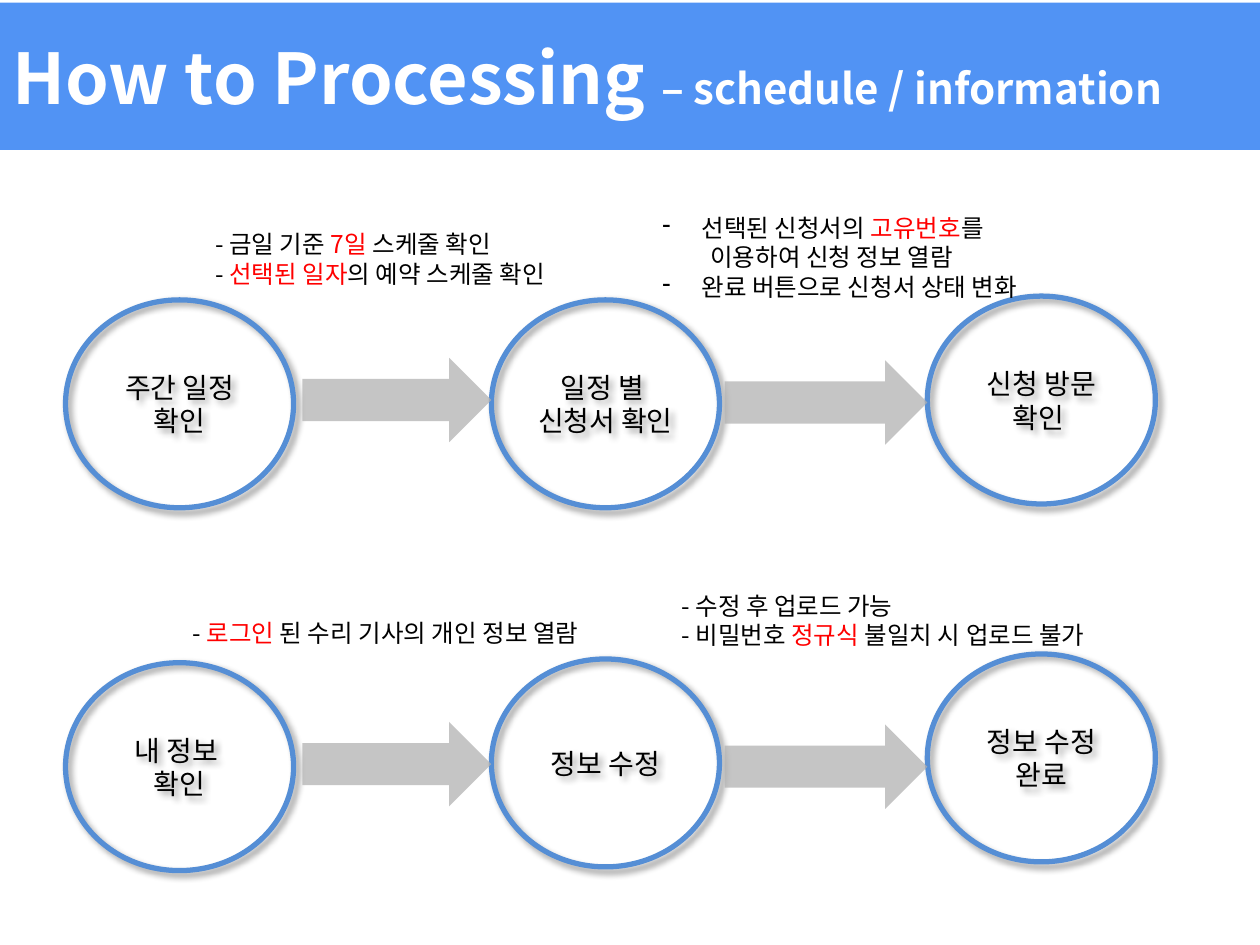
from lxml import etree
from pptx import Presentation, util as u
from pptx.dml.color import RGBColor
from pptx.enum import shapes as kinds, text as t
from pptx.oxml import parse_xml
from pptx.oxml.ns import nsdecls, qn

FONT = "Noto Sans CJK KR"


def color(target, hex_code):
    """Give a font, fill or line format a solid colour."""
    if hasattr(target, "solid"):
        target.solid()
        target.fore_color.rgb = RGBColor.from_string(hex_code)
    else:
        target.color.rgb = RGBColor.from_string(hex_code)


def write(frame, lines, size=14, align=t.PP_ALIGN.LEFT, anchor=t.MSO_ANCHOR.TOP):
    """Write lines as paragraphs; *words* between asterisks turn red.

    A line is a string or (string, left margin, bullet character).
    """
    frame.word_wrap = True
    frame.vertical_anchor = anchor
    for i, line in enumerate(lines):
        content, margin, bullet = (line, 0, None) if isinstance(line, str) else line
        p = frame.paragraphs[0] if i == 0 else frame.add_paragraph()
        p.alignment = align
        if margin:
            props = p._p.get_or_add_pPr()
            props.set("marL", str(u.Inches(margin)))
            props.set("indent", str(-u.Inches(margin) if bullet else 0))
            if bullet:
                etree.SubElement(props, qn("a:buChar")).set("char", bullet)
        for j, part in enumerate(content.split("*")):
            if part:
                run = p.add_run()
                run.text = part
                run.font.size = u.Pt(size)
                run.font.name = FONT
                color(run.font, "FF0000" if j % 2 else "000000")
                etree.SubElement(run._r.rPr, qn("a:ea")).set("typeface", FONT)


prs = Presentation()
prs.slide_width, prs.slide_height = u.Inches(10), u.Inches(7.5)
slide = prs.slides.add_slide(prs.slide_layouts[5])

# Title band
title = slide.shapes.title
title.left, title.top = 0, u.Inches(0.02)
title.width, title.height = prs.slide_width, u.Inches(1.17)
color(title.fill, "5193F4")
title.text_frame.vertical_anchor = t.MSO_ANCHOR.MIDDLE
heading = title.text_frame.paragraphs[0]
heading.alignment = t.PP_ALIGN.LEFT
for words, size in [("How to Processing ", 40), ("– schedule / information", 24)]:
    run = heading.add_run()
    run.text = words
    run.font.size, run.font.bold, run.font.name = u.Pt(size), True, FONT
    color(run.font, "FFFFFF")
    etree.SubElement(run._r.rPr, qn("a:ea")).set("typeface", FONT)

# Steps: three columns, two rows; each step has its label and top
columns = [0.52, 3.9, 7.36]
step_width, step_height = 1.81, 1.65
rows = [
    [(["주간 일정 확인"], 2.38), (["일정 별 ", "신청서 확인"], 2.38),
     (["신청 방문 확인 "], 2.35)],
    [(["내 정보 ", "확인"], 5.26), (["정보 수정"], 5.23), (["정보 수정 완료"], 5.19)],
]
for row in rows:
    for left, (label, top) in zip(columns, row):
        step = slide.shapes.add_shape(
            kinds.MSO_SHAPE.OVAL, u.Inches(left), u.Inches(top),
            u.Inches(step_width), u.Inches(step_height))
        step.fill.background()
        color(step.line.fill, "558ED5")
        step.line.width = u.Pt(3)
        step._element.spPr.append(parse_xml(
            f'<a:effectLst {nsdecls("a")}><a:outerShdw blurRad="{u.Pt(4)}" '
            f'dist="{u.Pt(3)}" dir="2700000" algn="tl" rotWithShape="0">'
            '<a:srgbClr val="000000"><a:alpha val="40000"/></a:srgbClr>'
            '</a:outerShdw></a:effectLst>'))
        write(step.text_frame, label, size=16, align=t.PP_ALIGN.CENTER,
              anchor=t.MSO_ANCHOR.MIDDLE)

# Notes above the arrows
notes = [
    (1.61, 1.77, 2.99, 0.57,
     ["- 금일 기준 *7일 *스케줄 확인", "- *선택된 일자*의 예약 스케줄 확인"]),
    (5.16, 1.64, 3.23, 0.81,
     [("선택된 신청서의 *고유번호*를", 0.31, "-"),
      ("이용하여 신청 정보 열람", 0.38, None),
      ("완료 버튼으로 신청서 상태 변화", 0.31, "-")]),
    (1.43, 4.86, 3.41, 0.34, ["- *로그인* 된 수리 기사의 개인 정보 열람"]),
    (5.31, 4.64, 3.41, 0.57,
     ["- 수정 후 업로드 가능", "- 비밀번호 *정규식* 불일치 시 업로드 불가"]),
]
for left, top, width, height, lines in notes:
    note = slide.shapes.add_textbox(*map(u.Inches, (left, top, width, height)))
    write(note.text_frame, lines)
    note.text_frame.auto_size = t.MSO_AUTO_SIZE.SHAPE_TO_FIT_TEXT

# Arrows, each ending at the next step
for row_top in (2.84, 5.73):
    for start, end, drop in [(2.4, columns[1], 0), (5.75, columns[2], 0.02)]:
        arrow = slide.shapes.add_shape(
            kinds.MSO_SHAPE.RIGHT_ARROW, u.Inches(start), u.Inches(row_top + drop),
            u.Inches(end - start), u.Inches(0.67))
        arrow.shadow.inherit = False
        color(arrow.fill, "B2B2B2")
        tint = arrow._element.spPr.find(qn("a:solidFill"))[0]
        etree.SubElement(tint, qn("a:alpha")).set("val", "75000")
        arrow.line.fill.background()

prs.save("out.pptx")
